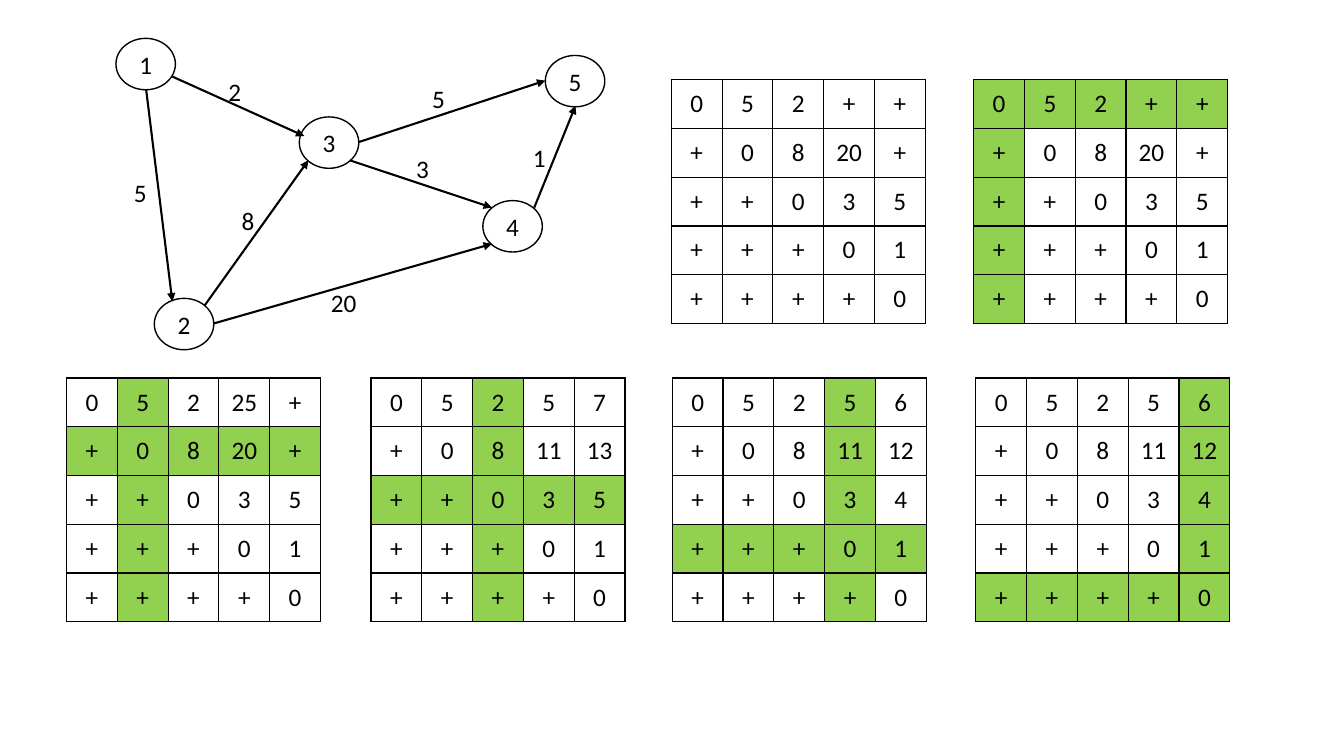
from dataclasses import dataclass
from math import inf

from lxml.etree import SubElement
from pptx import Presentation
from pptx.dml.color import RGBColor
from pptx.enum.shapes import MSO_CONNECTOR as Connector, MSO_SHAPE as Shape
from pptx.enum.text import MSO_ANCHOR as Anchor, PP_ALIGN as Align
from pptx.oxml.ns import qn
from pptx.util import Pt


@dataclass(frozen=True)
class Theme:
    font: str = "Calibri"
    size: float = 18
    ink: str = "000000"
    paper: str = "FFFFFF"
    highlight: str = "92D050"
    outline: float = 1
    arrow: float = 1.5


@dataclass(frozen=True)
class Edge:
    source: int
    target: int
    weight: int
    start: tuple
    end: tuple
    label: tuple


NODE_SIZE = (42.5, 36.7)
LABEL_SIZE = (59, 29.5)
CELL_SIZE = (36.29, 34.85)

NODES = {
    1: (82.8, 27.4),
    3: (213.8, 83.5),
    5: (389.5, 39.6),
    4: (344.9, 143.3),
    2: (110.2, 213.1),
}
EDGES = [
    Edge(1, 3, 2, (123.1, 54.7), (217.4, 97.2), (138.2, 50.4)),
    Edge(1, 2, 5, (104.4, 64.1), (123.1, 215.3), (70.6, 122.4)),
    Edge(2, 3, 8, (146.2, 218.2), (220.3, 114.5), (147.6, 142.6)),
    Edge(2, 4, 20, (152.6, 231.1), (351.4, 174.2), (216, 201.6)),
    Edge(4, 5, 1, (381.6, 148.3), (411.1, 75.6), (355.7, 97.9)),
    Edge(3, 5, 5, (256.3, 101.5), (389.5, 57.6), (283.7, 55.4)),
    Edge(3, 4, 3, (249.8, 114.5), (351.4, 148.3), (272.2, 105.8)),
]
# One table for the starting matrix, then one for each intermediate node.
START_PLACE = (479.5, 56.9)
STEP_PLACES = [(695.5, 56.9), (47.5, 270), (265, 270), (480.2, 270), (697, 270)]


def points(*lengths):
    return [Pt(length) for length in lengths]


def write(frame, text, *, font, size, color, align=Align.CENTER):
    para = frame.paragraphs[0]
    para.alignment = align
    span = para.add_run()
    span.text = text
    span.font.name = font
    span.font.size = Pt(size)
    span.font.color.rgb = RGBColor.from_string(color)


class Canvas:
    def __init__(self, page, theme):
        self.page = page
        self.theme = theme
        self.graph = page.shapes.add_group_shape().shapes
        self.text_format = {"font": theme.font, "size": theme.size, "color": theme.ink}

    def node(self, text, place):
        circle = self.graph.add_shape(Shape.OVAL, *points(*place, *NODE_SIZE))
        circle.shadow.inherit = False
        circle.fill.solid()
        circle.fill.fore_color.rgb = RGBColor.from_string(self.theme.paper)
        circle.line.color.rgb = RGBColor.from_string(self.theme.ink)
        circle.line.width = Pt(self.theme.outline)
        circle.text_frame.vertical_anchor = Anchor.MIDDLE
        write(circle.text_frame, text, **self.text_format)

    def arrow(self, start, end):
        line = self.graph.add_connector(Connector.STRAIGHT, *points(*start, *end))
        line.line.color.rgb = RGBColor.from_string(self.theme.ink)
        line.line.width = Pt(self.theme.arrow)
        properties = line.line._get_or_add_ln()
        SubElement(properties, qn("a:tailEnd"), type="triangle")
        SubElement(line._element.spPr, qn("a:effectLst"))

    def label(self, text, place):
        box = self.graph.add_textbox(*points(*place, *LABEL_SIZE))
        box.text_frame.word_wrap = True
        box.text_frame.vertical_anchor = Anchor.MIDDLE
        write(box.text_frame, text, **self.text_format)

    def borders(self, cell):
        properties = cell._tc.get_or_add_tcPr()
        for side in ("lnL", "lnR", "lnT", "lnB"):
            edge = SubElement(properties, qn(f"a:{side}"), w=str(Pt(self.theme.outline)))
            fill = SubElement(edge, qn("a:solidFill"))
            SubElement(fill, qn("a:srgbClr"), val=self.theme.ink)

    def matrix(self, distances, place, pivot=None):
        """Draw the distances, with the pivot's row and column highlighted."""
        count = len(distances)
        width, height = CELL_SIZE
        extent = points(*place, count * width, count * height)
        table = self.page.shapes.add_table(count, count, *extent).table
        table.first_row = table.horz_banding = False
        for column in table.columns:
            column.width = Pt(width)
        for row in table.rows:
            row.height = Pt(height)
        for row, values in enumerate(distances):
            for column, value in enumerate(values):
                cell = table.cell(row, column)
                self.borders(cell)
                if pivot in (row, column):
                    cell.fill.solid()
                    cell.fill.fore_color.rgb = RGBColor.from_string(self.theme.highlight)
                else:
                    cell.fill.background()
                cell.vertical_anchor = Anchor.MIDDLE
                write(cell.text_frame, "+" if value == inf else str(value),
                      **self.text_format)


def direct_distances():
    size = range(1, len(NODES) + 1)
    weights = {(edge.source, edge.target): edge.weight for edge in EDGES}
    return [[0 if row == column else weights.get((row, column), inf)
             for column in size] for row in size]


def relax(distances, pivot):
    """Shorten every route that improves by passing through the pivot."""
    return [[min(value, row[pivot] + distances[pivot][column])
             for column, value in enumerate(row)] for row in distances]


def main():
    deck = Presentation()
    deck.slide_width, deck.slide_height = points(960, 540)
    canvas = Canvas(deck.slides.add_slide(deck.slide_layouts[6]), Theme())

    for number, place in NODES.items():
        canvas.node(str(number), place)
    for edge in EDGES:
        canvas.arrow(edge.start, edge.end)
    for edge in EDGES:
        canvas.label(str(edge.weight), edge.label)

    distances = direct_distances()
    canvas.matrix(distances, START_PLACE)
    for pivot, place in enumerate(STEP_PLACES):
        distances = relax(distances, pivot)
        canvas.matrix(distances, place, pivot)

    deck.save("out.pptx")


if __name__ == "__main__":
    main()
